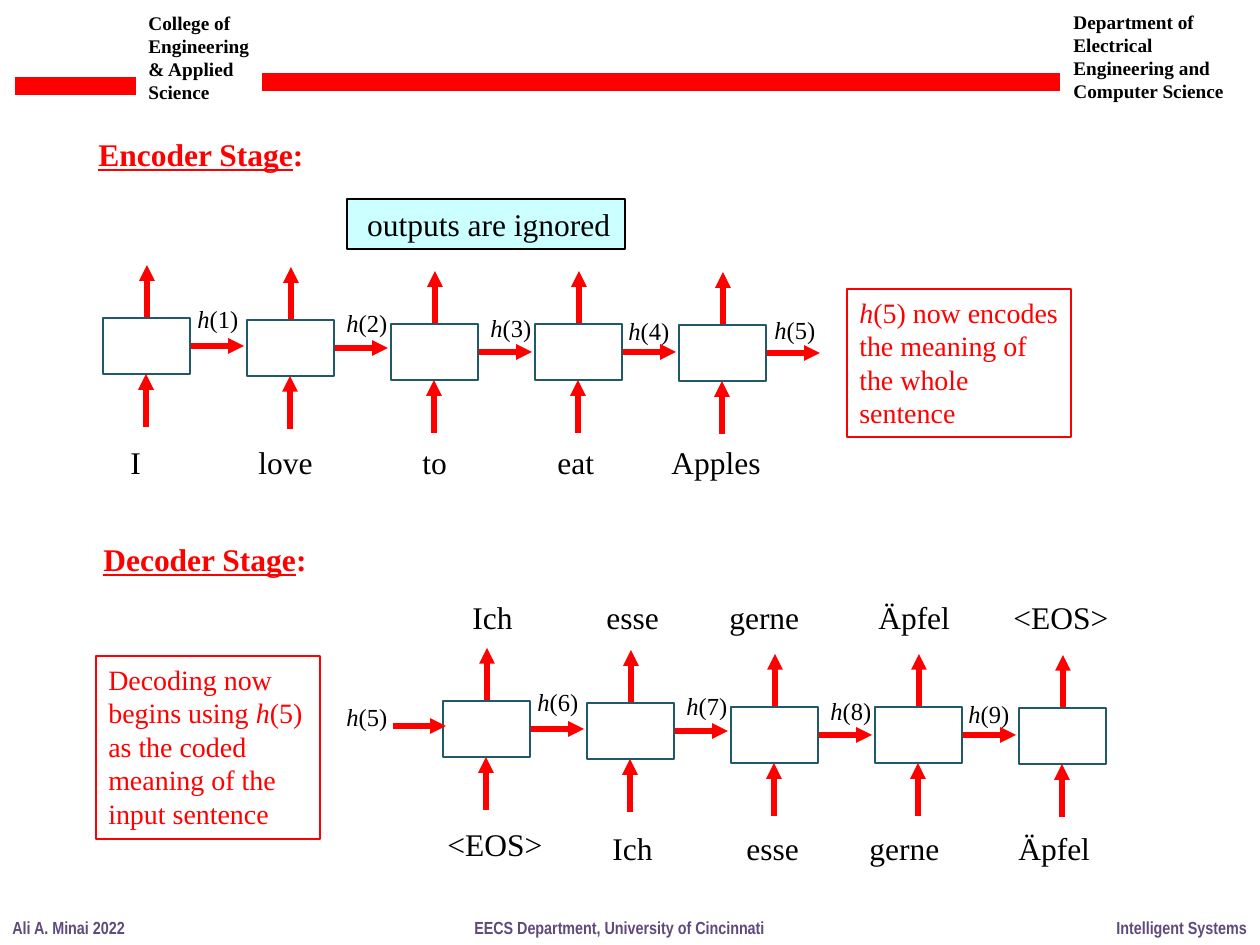
from typing import NamedTuple

from lxml import etree
from pptx import Presentation
from pptx.dml.color import RGBColor
from pptx.enum.shapes import MSO_CONNECTOR, MSO_SHAPE
from pptx.oxml.ns import qn
from pptx.util import Emu, Pt

STRAIGHT = MSO_CONNECTOR.STRAIGHT
RECTANGLE = MSO_SHAPE.RECTANGLE

EMU_PER_INCH = 914400
PX_PER_INCH = 126
RED, BLACK, TEAL, PURPLE, CYAN = "FF0000", "000000", "215968", "604A7B", "CCFFFF"
SERIF, NARROW = "Times New Roman", "Arial Narrow"

CELL_WIDTH, CELL_HEIGHT, CELL_PITCH = 87, 56, 144
ARROW_LENGTH = 53
LABEL_WIDTH, LABEL_HEIGHT = 67, 43
ROW_HEIGHT = 50


class Box(NamedTuple):
    left: int
    top: int
    width: int
    height: int


class Slot(NamedTuple):
    """Place of one cell in a chain, and of its state label from the cell corner."""
    drop: int
    label_x: int
    label_y: int


class Chain(NamedTuple):
    left: int
    top: int
    states: list[str]


class WordRow(NamedTuple):
    box: Box
    words: list[str]
    stops: list[int]


class Caption(NamedTuple):
    box: Box
    text: str


SLOTS = [Slot(0, 82, -20), Slot(2, 87, -18), Slot(6, 87, -17),
         Slot(6, 81, -14), Slot(7, 83, -16)]
CHAINS = [
    Chain(103, 318, ["*h*(1)", "*h*(2)", "*h*(3)", "*h*(4)", "*h*(5)"]),
    Chain(443, 701, ["*h*(6)", "*h*(7)", "*h*(8)", "*h*(9)"]),
]
GERMAN_STOPS = [134, 257, 406, 541]
WORD_ROWS = [
    WordRow(Box(118, 437, 678, ROW_HEIGHT),
            ["I", "love", "to", "eat", "Apples"], [128, 292, 427, 541]),
    WordRow(Box(460, 592, 692, ROW_HEIGHT),
            ["Ich", "esse", "gerne", "Äpfel", "<EOS>"], GERMAN_STOPS),
    WordRow(Box(435, 819, 185, ROW_HEIGHT), ["<EOS>"], []),
    WordRow(Box(600, 823, 509, ROW_HEIGHT),
            ["Ich", "esse", "gerne", "Äpfel"], GERMAN_STOPS[:3]),
]
HEADERS = [
    Caption(Box(136, 5, 137, 106), "College of Engineering & Applied\nScience"),
    Caption(Box(1061, 4, 185, 106),
            "Department of Electrical Engineering and Computer Science"),
]
FOOTERS = [
    Caption(Box(0, 911, 139, 34), "Ali A. Minai 2022"),
    Caption(Box(462, 911, 318, 34), "EECS Department, University of Cincinnati"),
    Caption(Box(1104, 911, 156, 34), "Intelligent Systems"),
]
HEADINGS = [
    Caption(Box(86, 129, 233, ROW_HEIGHT), "*Encoder Stage*:"),
    Caption(Box(91, 534, 231, ROW_HEIGHT), "*Decoder Stage*:"),
]
NOTES = [
    Caption(Box(847, 289, 224, 148),
            "*h*(5) now encodes the meaning of the whole sentence"),
    Caption(Box(96, 656, 224, 183),
            "Decoding now begins using *h*(5) as the coded meaning of the input sentence"),
]


def px(length: int) -> Emu:
    return Emu(round(length * EMU_PER_INCH / PX_PER_INCH))


def color(value: str) -> RGBColor:
    return RGBColor.from_string(value)


def add_text(page, box: Box, text: str, *, size: int = 18, font: str = SERIF,
             ink: str = BLACK, bold: bool = False, underline: bool = False,
             wrap: bool = False, stops: tuple = (), fill: str = "",
             line: str = ""):
    """Words between asterisks are underlined if underline is set, else italic."""
    place = [px(length) for length in box]
    if line:
        shape = add_rectangle(page, box, line, 0.75, fill)
    else:
        shape = page.shapes.add_textbox(*place)
    frame = shape.text_frame
    frame.word_wrap = wrap
    frame.vertical_anchor = None
    if line:
        shape._element.txBody.bodyPr.set("anchor", "t")
    for number, content in enumerate(text.split("\n")):
        para = frame.add_paragraph() if number else frame.paragraphs[0]
        properties = para._p.get_or_add_pPr()
        properties.set("algn", "l")
        if stops:
            tab_list = etree.SubElement(properties, qn("a:tabLst"))
            for stop in stops:
                etree.SubElement(tab_list, qn("a:tab"), pos=str(px(stop)), algn="l")
        for index, part in enumerate(content.split("*")):
            if not part:
                continue
            marked = index % 2 == 1
            span = para.add_run()
            span.text = part
            span.font.name = font
            span.font.size = Pt(size)
            span.font.bold = bold
            span.font.italic = marked and not underline
            span.font.underline = marked and underline
            span.font.color.rgb = color(ink)
    return shape


def add_rectangle(page, box: Box, line: str, weight: float, fill: str = ""):
    shape = page.shapes.add_shape(RECTANGLE, *[px(length) for length in box])
    shape.shadow.inherit = False
    shape.line.color.rgb = color(line)
    shape.line.width = Pt(weight)
    if fill:
        shape.fill.solid()
        shape.fill.fore_color.rgb = color(fill)
    else:
        shape.fill.background()
    return shape


def add_line(page, start: tuple[int, int], end: tuple[int, int],
             weight: float = 3, arrow: bool = True) -> None:
    points = [px(length) for length in (*start, *end)]
    connector = page.shapes.add_connector(STRAIGHT, *points)
    connector.line.color.rgb = color(RED)
    connector.line.width = Pt(weight)
    if arrow:
        etree.SubElement(connector.line._get_or_add_ln(), qn("a:tailEnd"), type="triangle")
    etree.SubElement(connector._element.spPr, qn("a:effectLst"))


def add_label(page, left: int, top: int, text: str) -> None:
    add_text(page, Box(left, top, LABEL_WIDTH, LABEL_HEIGHT), text, size=14)


def add_chain(page, chain: Chain) -> None:
    """Draw cells with input and output arrows, and a state arrow per label."""
    for index, slot in enumerate(SLOTS):
        left = chain.left + index * CELL_PITCH
        top = chain.top + slot.drop
        bottom = top + CELL_HEIGHT
        middle = left + CELL_WIDTH // 2
        add_line(page, (middle + 1, top), (middle + 1, top - ARROW_LENGTH))
        add_rectangle(page, Box(left, top, CELL_WIDTH, CELL_HEIGHT), TEAL, 1.5)
        add_line(page, (middle, bottom + ARROW_LENGTH), (middle, bottom))
        if index < len(chain.states):
            right, center = left + CELL_WIDTH + 1, top + CELL_HEIGHT // 2
            add_line(page, (right, center), (right + ARROW_LENGTH, center))
            add_label(page, left + slot.label_x, top + slot.label_y,
                      chain.states[index])


def main() -> None:
    deck = Presentation()
    deck.slide_width, deck.slide_height = px(1260), px(945)
    page = deck.slides.add_slide(deck.slide_layouts[6])

    add_line(page, (15, 86), (136, 86), weight=10, arrow=False)
    add_line(page, (262, 82), (1060, 82), weight=10, arrow=False)
    for header in HEADERS:
        add_text(page, *header, size=11, bold=True, wrap=True)
    for footer in FOOTERS:
        add_text(page, *footer, size=10, font=NARROW, ink=PURPLE, bold=True)
    for heading in HEADINGS:
        add_text(page, *heading, ink=RED, bold=True, underline=True)

    for chain in CHAINS:
        add_chain(page, chain)
    add_label(page, 334, 696, "*h*(5)")
    add_line(page, (393, 726), (446, 726))
    for row in WORD_ROWS:
        add_text(page, row.box, "\t".join(row.words), stops=row.stops, wrap=True)

    add_text(page, Box(347, 199, 278, ROW_HEIGHT), " outputs are ignored",
             fill=CYAN, line=BLACK)
    for note in NOTES:
        add_text(page, *note, size=16, ink=RED, wrap=True, line=RED)
    deck.save("out.pptx")


if __name__ == "__main__":
    main()
